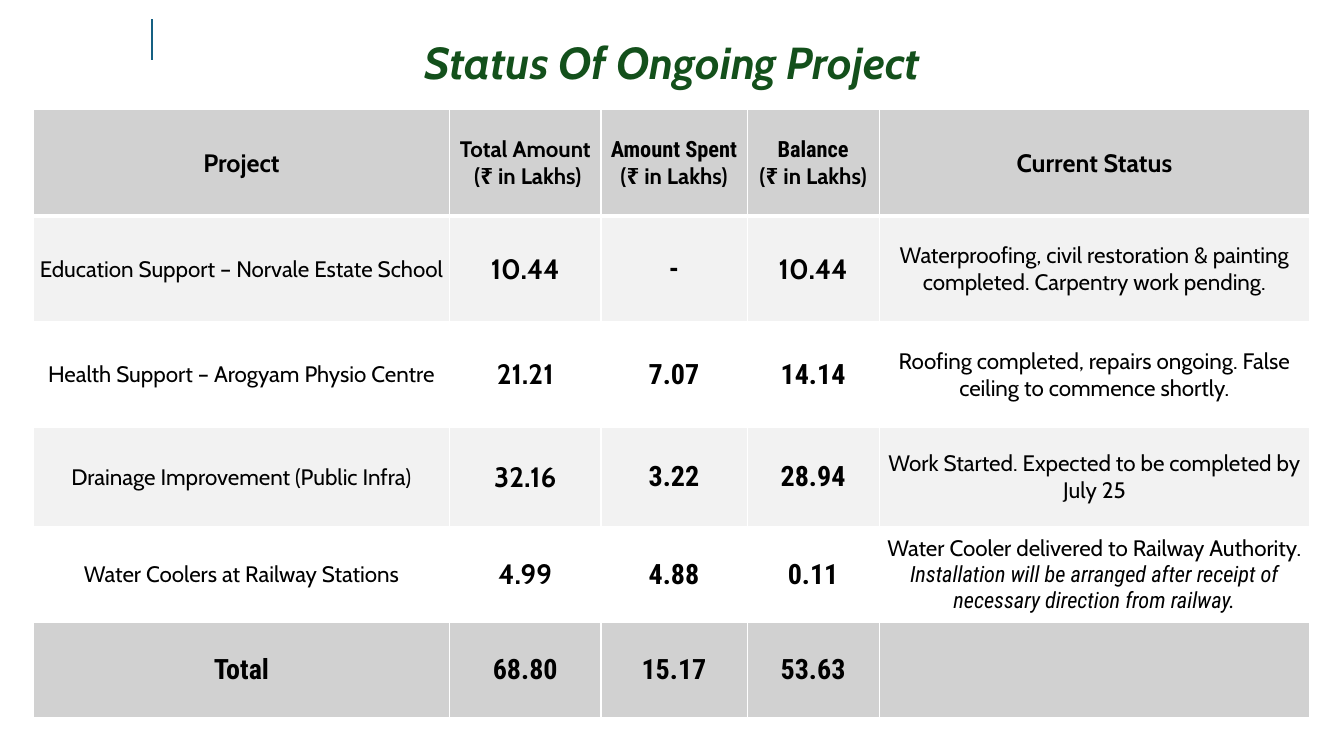
from lxml import etree
from pptx import Presentation
from pptx.dml.color import RGBColor
from pptx.enum.shapes import MSO_CONNECTOR
from pptx.enum.text import MSO_ANCHOR, PP_ALIGN
from pptx.oxml.ns import qn
from pptx.util import Inches, Pt

CENTER = PP_ALIGN.CENTER
MIDDLE = MSO_ANCHOR.MIDDLE
STRAIGHT = MSO_CONNECTOR.STRAIGHT

BLACK = RGBColor(0x00, 0x00, 0x00)
WHITE = RGBColor(0xFF, 0xFF, 0xFF)
GREEN = RGBColor(0x13, 0x50, 0x1B)
BLUE = RGBColor(0x15, 0x60, 0x82)
GREY = RGBColor(0xD1, 0xD1, 0xD1)
PALE_GREY = RGBColor(0xF2, 0xF2, 0xF2)

CABIN = "Cabin"
ROBOTO = "Roboto Condensed"


def text_format(size, name=CABIN, bold=False, italic=False):
    return {"size": Pt(size), "name": name, "bold": bold, "italic": italic}


TITLE = text_format(32, bold=True, italic=True)
HEADING = text_format(18, bold=True)
SUBHEADING = text_format(16, bold=True)
SUBHEADING_NARROW = text_format(16, ROBOTO, bold=True)
BODY = text_format(16)
NOTE = text_format(16, ROBOTO, italic=True)
FIGURE = text_format(20, bold=True)
FIGURE_NARROW = text_format(20, ROBOTO, bold=True)

COLUMN_WIDTHS = [4.13, 1.5, 1.45, 1.31, 4.27]
ROW_HEIGHTS = [1.05, 1.05, 1.05, 0.98, 0.95, 0.95]
ROW_FILLS = [GREY, PALE_GREY, WHITE, PALE_GREY, WHITE, GREY]
UNIT = ("(₹ in Lakhs)", SUBHEADING)


def project_row(project, total, spent, balance, status, balance_format=FIGURE_NARROW):
    return [
        [(project, BODY)],
        [(total, FIGURE)],
        [(spent, FIGURE_NARROW)],
        [(balance, balance_format)],
        status,
    ]


# Each cell is a list of paragraphs, given as (text, format).
ROWS = [
    [
        [("Project", HEADING)],
        [("Total Amount", SUBHEADING), (" (₹ in Lakhs)", SUBHEADING)],
        [("Amount Spent", SUBHEADING_NARROW), UNIT],
        [("Balance", SUBHEADING_NARROW), UNIT],
        [("Current Status", HEADING)],
    ],
    project_row(
        "Education Support – Norvale Estate School", "10.44", "-", "10.44",
        [("Waterproofing, civil restoration & painting completed. "
          "Carpentry work pending.", BODY)],
        balance_format=FIGURE,
    ),
    project_row(
        "Health Support – Arogyam Physio Centre", "21.21", "7.07", "14.14",
        [("Roofing completed, repairs ongoing. "
          "False ceiling to commence shortly.", BODY)],
    ),
    project_row(
        "Drainage Improvement (Public Infra)", "32.16", "3.22", "28.94",
        [("Work Started. Expected to be completed by July 25", BODY)],
    ),
    project_row(
        "Water Coolers at Railway Stations", "4.99", "4.88", "0.11",
        [("Water Cooler delivered to Railway Authority.", BODY),
         ("Installation will be arranged after receipt of necessary "
          "direction from railway.", NOTE)],
    ),
    [[(text, FIGURE_NARROW)] for text in ("Total", "68.80", "15.17", "53.63")] + [[]],
]


class SlideBuilder:
    def __init__(self, presentation):
        self.slide = presentation.slides.add_slide(presentation.slide_layouts[5])

    def add_text(self, paragraph, text, formatting, color=BLACK):
        paragraph.alignment = CENTER
        run = paragraph.add_run()
        run.text = text
        run.font.color.rgb = color
        for attribute, value in formatting.items():
            setattr(run.font, attribute, value)

    def title(self, text, left, top, width, height):
        shape = self.slide.shapes.title
        shape.left, shape.top = Inches(left), Inches(top)
        shape.width, shape.height = Inches(width), Inches(height)
        shape.text_frame.vertical_anchor = MIDDLE
        paragraph = shape.text_frame.paragraphs[0]
        paragraph.line_spacing = 0.9
        paragraph.space_after = Pt(6)
        self.add_text(paragraph, text, TITLE, GREEN)

    def table(self, rows, left, top):
        table = self.slide.shapes.add_table(
            len(rows), len(COLUMN_WIDTHS), Inches(left), Inches(top),
            Inches(sum(COLUMN_WIDTHS)), Inches(sum(ROW_HEIGHTS)),
        ).table
        for column, width in zip(table.columns, COLUMN_WIDTHS):
            column.width = Inches(width)
        for row, height in zip(table.rows, ROW_HEIGHTS):
            row.height = Inches(height)
        for row_index, row in enumerate(rows):
            for column_index, paragraphs in enumerate(row):
                cell = table.cell(row_index, column_index)
                self.cell_borders(cell, 3 if row_index == 0 else 1,
                                  3 if row_index == 1 else 1)
                self.cell(cell, paragraphs, ROW_FILLS[row_index])

    def cell(self, cell, paragraphs, fill):
        cell.fill.solid()
        cell.fill.fore_color.rgb = fill
        cell.vertical_anchor = MIDDLE
        cell.margin_left = cell.margin_right = cell.margin_top = Inches(0.01)
        cell.margin_bottom = 0
        for index, (text, formatting) in enumerate(paragraphs):
            frame = cell.text_frame
            paragraph = frame.add_paragraph() if index else frame.paragraphs[0]
            self.add_text(paragraph, text, formatting)

    def cell_borders(self, cell, bottom_width, top_width):
        """Add white borders; call before filling, as the fill must follow them."""
        properties = cell._tc.get_or_add_tcPr()
        widths = {"a:lnL": 1, "a:lnR": 1, "a:lnT": top_width, "a:lnB": bottom_width}
        for tag, width in widths.items():
            line = etree.SubElement(properties, qn(tag), w=str(Pt(width)))
            fill = etree.SubElement(line, qn("a:solidFill"))
            etree.SubElement(fill, qn("a:srgbClr"), val=str(WHITE))

    def line(self, start_x, start_y, end_x, end_y):
        connector = self.slide.shapes.add_connector(
            STRAIGHT, Inches(start_x), Inches(start_y), Inches(end_x), Inches(end_y))
        connector.line.color.rgb = BLUE
        connector.line.width = Pt(1.5)
        etree.SubElement(connector._element.spPr, qn("a:effectLst"))


def main():
    presentation = Presentation()
    presentation.slide_width = Inches(13.33)
    presentation.slide_height = Inches(7.5)
    builder = SlideBuilder(presentation)
    builder.table(ROWS, 0.33, 1.09)
    builder.title("Status Of Ongoing Project", 1.22, 0.23, 10.9, 0.83)
    builder.line(1.51, 0.19, 1.51, 0.6)
    presentation.save("out.pptx")


if __name__ == "__main__":
    main()
